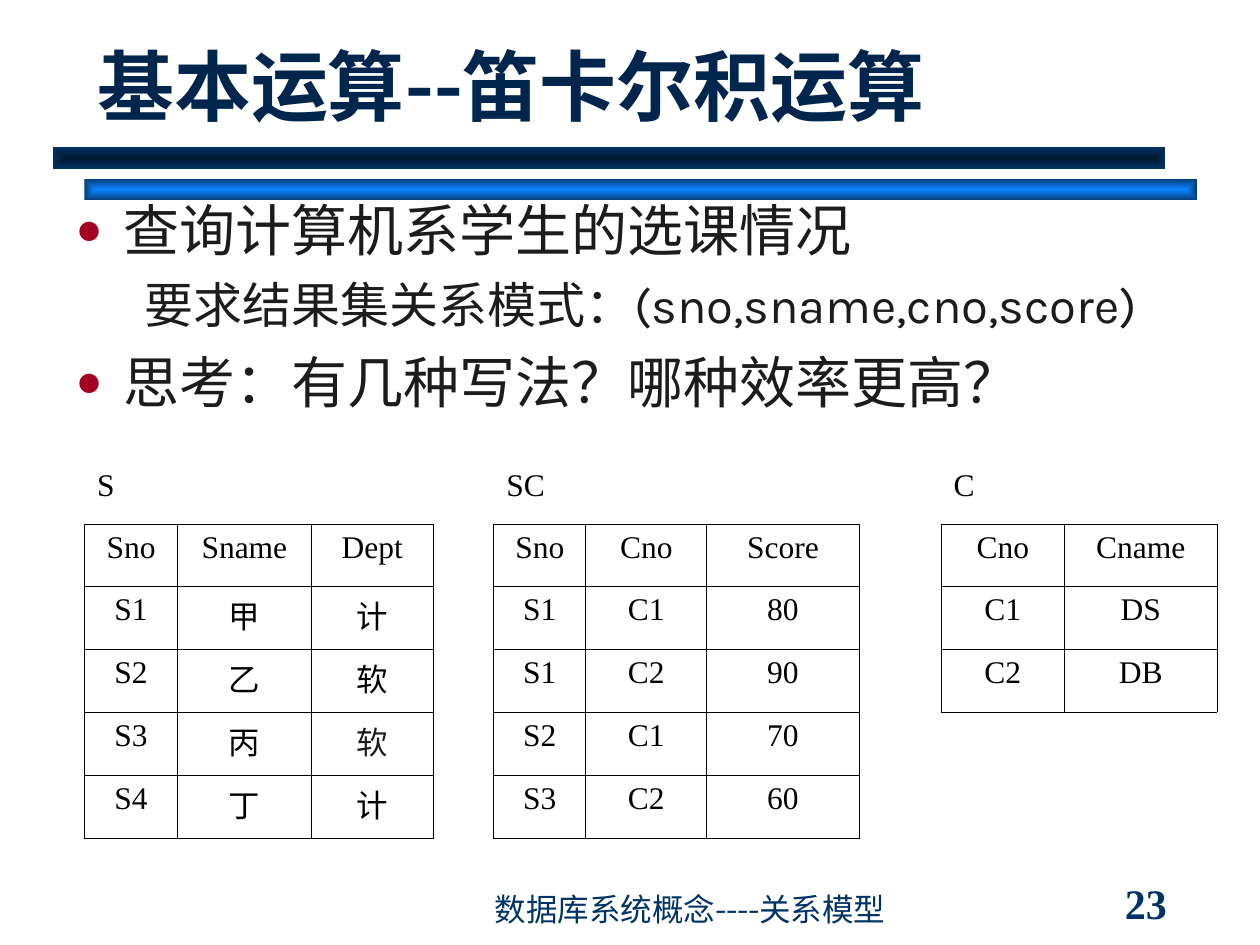
from lxml import etree
from pptx import Presentation
from pptx import util as u
from pptx.dml import color
from pptx.enum import shapes, text
from pptx.oxml import ns

NAVY = color.RGBColor(0x00, 0x33, 0x66)
DEEP_NAVY = color.RGBColor(0x00, 0x26, 0x4D)
MIDNIGHT = color.RGBColor(0x00, 0x18, 0x2F)
BRIGHT_BLUE = color.RGBColor(0x0A, 0x84, 0xFF)
STEEL_BLUE = color.RGBColor(0x05, 0x3D, 0x76)
INK = color.RGBColor(0x1C, 0x1C, 0x1C)
BLACK = color.RGBColor(0, 0, 0)
RED = color.RGBColor(0xA5, 0x00, 0x21)

SANS, SERIF = "Karla", "Times New Roman"
LEFT, CENTER, JUSTIFY = (
    text.PP_ALIGN.LEFT, text.PP_ALIGN.CENTER, text.PP_ALIGN.JUSTIFY)
TOP, MIDDLE, BOTTOM = (
    text.MSO_ANCHOR.TOP, text.MSO_ANCHOR.MIDDLE, text.MSO_ANCHOR.BOTTOM)

BULLETS = [
    ("查询计算机系学生的选课情况", 32, JUSTIFY, True),
    ("要求结果集关系模式：(sno,sname,cno,score)", 28, CENTER, False),
    ("思考：有几种写法？哪种效率更高？", 32, JUSTIFY, True),
]
RELATIONS = [
    (0, "S", [["Sno", "Sname", "Dept"], ["S1", "甲", "计"],
              ["S2", "乙", "软"], ["S3", "丙", "软"], ["S4", "丁", "计"]]),
    (4, "SC", [["Sno", "Cno", "Score"], ["S1", "C1", "80"],
               ["S1", "C2", "90"], ["S2", "C1", "70"], ["S3", "C2", "60"]]),
    (8, "C", [["Cno", "Cname"], ["C1", "DS"], ["C2", "DB"]]),
]
COL_WIDTHS = [0.74, 1.06, 0.97, 0.48, 0.73, 0.96, 1.21, 0.65, 0.98, 1.21]
ROW_HEIGHTS = [0.49, 0.49, 0.5, 0.5, 0.5, 0.5]
SIDES = {"lnL": (0, -1), "lnR": (0, 1), "lnT": (-1, 0), "lnB": (1, 0)}


def add_xml(parent, tag, **attrs):
    return etree.SubElement(parent, ns.qn(tag), attrs)


class SlideBuilder:
    def __init__(self, prs):
        self.s = prs.slides.add_slide(prs.slide_layouts[1])

    def place(self, sp, x, y, w, h, anchor, wrap=True):
        box = {"left": x, "top": y, "width": w, "height": h}
        for name, value in box.items():
            setattr(sp, name, u.Inches(value))
        tf = sp.text_frame
        frame = {"auto_size": text.MSO_AUTO_SIZE.NONE, "word_wrap": wrap,
                 "vertical_anchor": anchor}
        for name, value in frame.items():
            setattr(tf, name, value)
        return tf

    def styled_run(self, p, words, size, rgb, font=SANS, bold=False,
                   align=LEFT):
        p.alignment = align
        r = p.add_run()
        r.text = words
        style = {"name": font, "size": u.Pt(size), "bold": bold}
        for name, value in style.items():
            setattr(r.font, name, value)
        r.font.color.rgb = rgb

    def bar(self, x, y, inner, outer):
        sp = self.s.shapes.add_shape(
            shapes.MSO_SHAPE.RECTANGLE,
            u.Inches(x), u.Inches(y), u.Inches(8.83), u.Inches(0.17))
        sp.shadow.inherit = False
        sp.line.fill.background()
        sp.fill.gradient()
        for stop, position, rgb in zip(
                sp.fill.gradient_stops, (0, 1), (inner, outer)):
            stop.position = position
            stop.color.rgb = rgb
        grad = sp._element.spPr.find(ns.qn("a:gradFill"))
        grad.remove(grad.find(ns.qn("a:lin")))
        shade = add_xml(grad, "a:path", path="rect")
        add_xml(shade, "a:fillToRect", l="50000", t="50000",
                r="50000", b="50000")

    def title(self, words):
        tf = self.place(self.s.shapes.title, 0.67, 0.42, 8.5, 0.67, BOTTOM)
        self.styled_run(tf.paragraphs[0], words, 44, DEEP_NAVY, bold=True)

    def label(self, words, box, anchor, wrap=True, **style):
        sp = self.s.shapes.add_textbox(0, 0, 0, 0)
        tf = self.place(sp, *box, anchor, wrap)
        self.styled_run(tf.paragraphs[0], words, rgb=NAVY, **style)

    def bullets(self, items):
        tf = self.place(self.s.placeholders[1], 0.5, 1.5, 9.17, 2.25, TOP)
        for i, (words, size, align, marked) in enumerate(items):
            p = tf.add_paragraph() if i else tf.paragraphs[0]
            p.space_before = u.Pt(size / 4 if i else 0)
            pPr = p._p.get_or_add_pPr()
            pPr.set("marL", str(u.Inches(0.38)))
            pPr.set("indent", str(u.Inches(-0.38)))
            if marked:
                clr = add_xml(pPr, "a:buClr")
                add_xml(clr, "a:srgbClr", val=str(RED))
                add_xml(pPr, "a:buSzPct", val="80000")
                add_xml(pPr, "a:buChar", char="●")
            else:
                add_xml(pPr, "a:buNone")
            self.styled_run(p, words, size, INK, align=align)

    def borders(self, cell, row, col, boxed):
        tcPr = cell._tc.get_or_add_tcPr()
        for side, (dr, dc) in SIDES.items():
            ln = add_xml(tcPr, "a:" + side, w=str(u.Pt(0.45)))
            if {(row, col), (row + dr, col + dc)} & boxed:
                fill = add_xml(ln, "a:solidFill")
                add_xml(fill, "a:srgbClr", val=str(BLACK))
            else:
                add_xml(ln, "a:noFill")
        cell.fill.background()

    def relations(self, relations, x, y):
        table = self.s.shapes.add_table(
            len(ROW_HEIGHTS), len(COL_WIDTHS), u.Inches(x), u.Inches(y),
            u.Inches(sum(COL_WIDTHS)), u.Inches(sum(ROW_HEIGHTS))).table
        table.first_row = table.horz_banding = False
        for column, width in zip(table.columns, COL_WIDTHS):
            column.width = u.Inches(width)
        for row, height in zip(table.rows, ROW_HEIGHTS):
            row.height = u.Inches(height)
        boxed = set()
        for start, name, rows in relations:
            self.styled_run(table.cell(0, start).text_frame.paragraphs[0],
                            name, 18, BLACK, SERIF, align=JUSTIFY)
            for i, row in enumerate(rows, 1):
                for j, words in enumerate(row, start):
                    boxed.add((i, j))
                    rgb = INK if (i, j) == (4, 2) else BLACK
                    p = table.cell(i, j).text_frame.paragraphs[0]
                    self.styled_run(p, words, 18, rgb, SERIF, align=CENTER)
        for i in range(len(ROW_HEIGHTS)):
            for j in range(len(COL_WIDTHS)):
                self.borders(table.cell(i, j), i, j, boxed)


def main():
    prs = Presentation()
    prs.slide_width, prs.slide_height = u.Inches(10), u.Inches(7.5)
    slide = SlideBuilder(prs)
    slide.bar(0.67, 1.42, BRIGHT_BLUE, STEEL_BLUE)
    slide.bar(0.42, 1.17, MIDNIGHT, NAVY)
    slide.label("23", (8.83, 7, 1.08, 0.33), MIDDLE, wrap=False,
                size=24, font=SERIF, bold=True)
    slide.label("数据库系统概念----关系模型", (3.83, 7.08, 4.08, 0.33), BOTTOM,
                size=18)
    slide.title("基本运算--笛卡尔积运算")
    slide.bullets(BULLETS)
    slide.relations(RELATIONS, 0.67, 3.67)
    prs.save("out.pptx")


if __name__ == "__main__":
    main()
